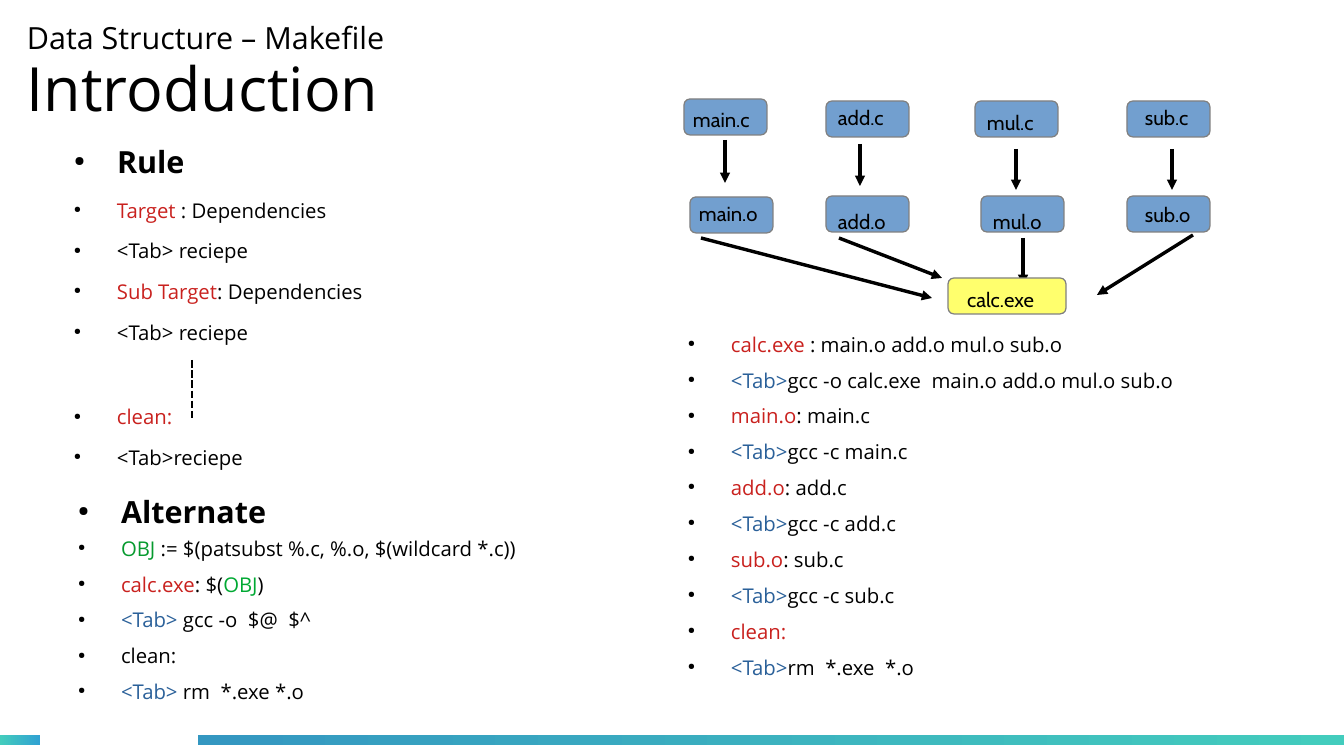
from pptx import Presentation
from pptx.dml.color import RGBColor as RGB
from pptx.enum.dml import MSO_LINE as Dash
from pptx.enum.shapes import MSO_CONNECTOR as Conn, MSO_SHAPE as Shape
from pptx.enum.text import MSO_ANCHOR as Anchor
from pptx.oxml.ns import qn
from pptx.util import Pt
from lxml.etree import SubElement as Sub

PX = 7495  # EMU per px, 122 px to the inch
BLACK, GREY = RGB(0, 0, 0), RGB(0x80, 0x80, 0x80)
RED, BLUE = RGB(0xC9, 0x21, 0x1E), RGB(0x2A, 0x60, 0x99)
GREEN, LIME = RGB(0x06, 0x9A, 0x2E), RGB(0x00, 0xA9, 0x33)
NODE, GOAL = RGB(0x72, 0x9F, 0xCF), RGB(0xFF, 0xFF, 0x6D)
TEAL, SKY, DEEP = RGB(0x43, 0xCC, 0xBD), RGB(0x30, 0xA2, 0xD2), RGB(0x34, 0x97, 0xC1)

deck = Presentation()
deck.slide_width, deck.slide_height = 1344 * PX, 756 * PX
slide = deck.slides.add_slide(deck.slide_layouts[6])
shapes = slide.shapes


def add_list(x, y, w, h, rows, size=12, after=11.4, before=0, bold=False):
    """Bulleted text box; each row is a list of (text, colour) runs."""
    frame = shapes.add_textbox(x * PX, y * PX, w * PX, h * PX).text_frame
    frame.word_wrap = True
    for i, row in enumerate(rows):
        para = frame.add_paragraph() if i else frame.paragraphs[0]
        para.line_spacing = 0.88
        para.space_before, para.space_after = Pt(before), Pt(after)
        props = para._p.get_or_add_pPr()
        props.set("marL", str(57 * PX))
        props.set("indent", str(-43 * PX))
        Sub(Sub(props, qn("a:buClr")), qn("a:srgbClr"), val=str(BLACK))
        Sub(props, qn("a:buSzPct"), val="45000")
        Sub(props, qn("a:buChar"), char="●")
        font = para.font
        font.name, font.size, font.bold = "Open Sans", Pt(size), bold
        for text, color in row:
            run = para.add_run()
            run.text = text
            run.font.color.rgb = color
    return frame


def add_line(x1, y1, x2, y2, width=0):
    line = shapes.add_connector(Conn.STRAIGHT, x1 * PX, y1 * PX, x2 * PX, y2 * PX)
    line.line.color.rgb = BLACK
    line.line.width = Pt(width)
    Sub(line._element.spPr, qn("a:effectLst"))
    return line


# Footer bars
for x, w, left, right in [(0, 40, TEAL, SKY), (198, 1146, DEEP, TEAL)]:
    bar = shapes.add_shape(Shape.RECTANGLE, x * PX, 735 * PX, w * PX, 10 * PX)
    bar.shadow.inherit = False
    bar.line.fill.background()
    bar.fill.gradient()
    bar.fill.gradient_angle = 0
    for stop, color in zip(bar.fill.gradient_stops, (left, right)):
        stop.color.rgb = color

# Title
frame = shapes.add_textbox(27 * PX, 12 * PX, 937 * PX, 124 * PX).text_frame
frame.word_wrap = True
frame.vertical_anchor = Anchor.MIDDLE
frame.margin_left = frame.margin_right = frame.margin_top = frame.margin_bottom = 0
for i, (text, size) in enumerate([("Data Structure – Makefile", 18), ("Introduction", 36)]):
    para = frame.add_paragraph() if i else frame.paragraphs[0]
    para.text = text
    para.line_spacing = 0.94
    font = para.font
    font.name, font.size, font.color.rgb = "Open Sans", Pt(size), BLACK

# Rule
add_list(48, 142, 260, 56, [[("Rule", BLACK)]], size=18, bold=True)
rule = add_list(48, 195, 422, 322, [
    [("Target", RED), (" : Dependencies", BLACK)],
    [("<Tab> reciepe", BLACK)],
    [("Sub Target", RED), (": Dependencies", BLACK)],
    [("<Tab> reciepe", BLACK)],
    [("clean:", RED)],
    [("<Tab>reciepe", BLACK)],
])
rule.paragraphs[4].space_before = Pt(25.8)  # room for the dashed line
add_line(192, 360, 192, 418, 1.5).line.dash_style = Dash.SQUARE_DOT

# Alternate
add_list(52, 492, 260, 56, [[("Alternate", BLACK)]], size=18, bold=True)
add_list(52, 533, 528, 189, [
    [("OBJ", GREEN), (" := $(patsubst %.c, %.o, $(wildcard *.c))", BLACK)],
    [("calc.exe", RED), (": $(", BLACK), ("OBJ", LIME), (")", BLACK)],
    [("<Tab>", BLUE), (" gcc -o  $@  $^", BLACK)],
    [("clean:", BLACK)],
    [("<Tab>", BLUE), (" rm  *.exe *.o", BLACK)],
], after=5.7, before=2.8)

# Example makefile
builds = [
    ("calc.exe", " : main.o add.o mul.o sub.o", "gcc -o calc.exe  main.o add.o mul.o sub.o"),
    ("main.o", ": main.c", "gcc -c main.c"),
    ("add.o", ": add.c", "gcc -c add.c"),
    ("sub.o", ": sub.c", "gcc -c sub.c"),
    ("clean:", "", "rm  *.exe  *.o"),
]
rows = []
for goal, needs, step in builds:
    rows.append([(goal, RED)] + ([(needs, BLACK)] if needs else []))
    rows.append([("<Tab>", BLUE), (step, BLACK)])
add_list(662, 329, 625, 418, rows, after=8.5)

# Arrows between files
for ends in [
    (725, 140, 725, 183), (860, 144, 860, 186), (1016, 149, 1016, 190),
    (1172, 149, 1172, 190), (701, 238, 932, 298), (839, 238, 942, 278),
    (1023, 238, 1023, 285), (1193, 235, 1097, 295),
]:
    arrow = add_line(*ends)
    Sub(arrow.line._get_or_add_ln(), qn("a:tailEnd"), type="triangle")

# Files: box left, top, width, then label left, top
for name, x, y, w, tx, ty in [
    ("main.c", 684, 99, 83, 681, 101), ("add.c", 826, 101, 83, 826, 99),
    ("mul.c", 975, 101, 83, 975, 104), ("sub.c", 1127, 101, 83, 1133, 99),
    ("main.o", 690, 197, 83, 687, 195), ("add.o", 826, 196, 83, 826, 203),
    ("mul.o", 981, 196, 83, 981, 203), ("sub.o", 1127, 196, 83, 1133, 196),
    ("calc.exe", 948, 278, 118, 955, 281),
]:
    box = shapes.add_shape(Shape.ROUNDED_RECTANGLE, x * PX, y * PX, w * PX, 36 * PX)
    box.shadow.inherit = False
    box.fill.solid()
    box.fill.fore_color.rgb = GOAL if name == "calc.exe" else NODE
    box.line.color.rgb = GREY
    box.line.width = 0
    label = shapes.add_textbox(tx * PX, ty * PX, (w + 10) * PX, 40 * PX)
    label.text_frame.word_wrap = True
    para = label.text_frame.paragraphs[0]
    para.text = name
    font = para.font
    font.name, font.size, font.color.rgb = "Cabin", Pt(12), BLACK

deck.save("out.pptx")
